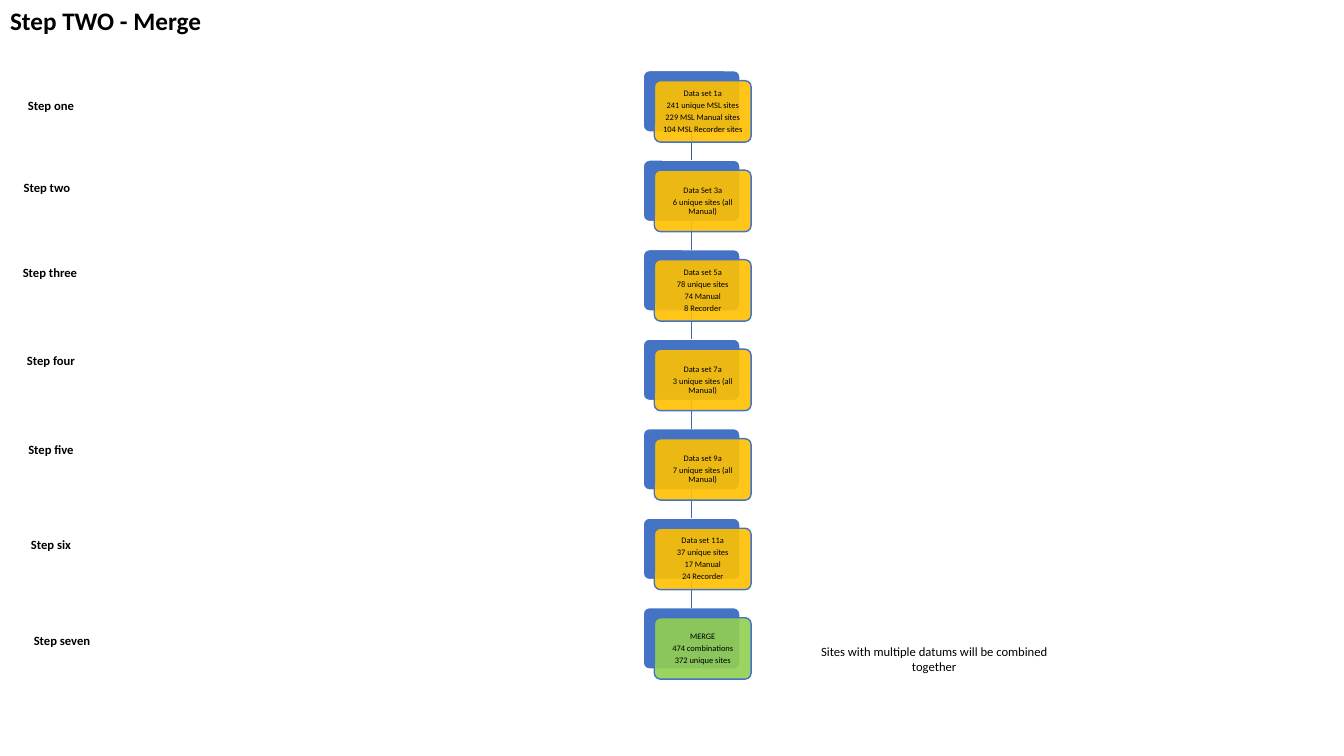
"""Build the slide showing how the data sets are merged in seven steps."""
from lxml import etree
from pptx import Presentation
from pptx import util as u
from pptx.dml.color import RGBColor
from pptx.enum import shapes, text
from pptx.oxml.ns import qn

COLOURS = {
    "black": "000000", "white": "FFFFFF", "blue": "4472C4", "gold": "FFC000",
    "green": "92D050", "first_link": "365B9D", "link": "3E67B2",
}
STAGES = [
    ("gold", ["Data set 1a", "241 unique MSL sites", "229 MSL Manual sites", "104 MSL Recorder sites"]),
    ("gold", ["Data Set 3a", "6 unique sites (all Manual)"]),
    ("gold", ["Data set 5a", "78 unique sites", "74 Manual", "8 Recorder"]),
    ("gold", ["Data set 7a", "3 unique sites (all Manual)"]),
    ("gold", ["Data set 9a", "7 unique sites (all Manual)"]),
    ("gold", ["Data set 11a", "37 unique sites", "17 Manual", "24 Recorder"]),
    ("green", ["MERGE", "474 combinations", "372 unique sites"]),
]
STEPS = [
    ("Step one", 0, 0.92), ("Step two", -0.04, 1.74), ("Step three", -0.01, 2.58),
    ("Step four", 0, 3.45), ("Step five", 0, 4.33), ("Step six", 0, 5.28),
    ("Step seven", 0.11, 6.23),
]
CARD_LEFT, CARD_TOP, CARD_PITCH = 6.38, 0.7, 0.888
CARD_WIDTH, CARD_HEIGHT = 0.96, 0.61
FRONT_DX, FRONT_DY = 0.11, 0.1


def rgb(name):
    """Return the named colour."""
    return RGBColor.from_string(COLOURS[name])


def write(frame, lines, size=9, bold=False, align=text.PP_ALIGN.CENTER,
          anchor=text.MSO_ANCHOR.TOP, insets=(0.1, 0.05), leading=1.0, after=0):
    """Fill a text frame with one paragraph per line."""
    frame.word_wrap = True
    frame.auto_size = text.MSO_AUTO_SIZE.NONE
    frame.vertical_anchor = anchor
    frame.margin_left = frame.margin_right = u.Inches(insets[0])
    frame.margin_top = frame.margin_bottom = u.Inches(insets[1])
    frame.text = "\n".join(lines)
    for paragraph in frame.paragraphs:
        paragraph.alignment = align
        paragraph.line_spacing = leading
        paragraph.space_before = u.Pt(0)
        paragraph.space_after = u.Pt(after)
        font = paragraph.runs[0].font
        font.name, font.size, font.bold = "Calibri", u.Pt(size), bold
        font.color.rgb = rgb("black")


def add_label(slide, wording, left, top, width, height, **style):
    """Add a text box holding one paragraph."""
    label = slide.shapes.add_textbox(*map(u.Inches, (left, top, width, height)))
    write(label.text_frame, [wording], **style)


def add_card(slide, left, top, fill, outline):
    """Add a rounded card."""
    card = slide.shapes.add_shape(
        shapes.MSO_SHAPE.ROUNDED_RECTANGLE,
        *map(u.Inches, (left, top, CARD_WIDTH, CARD_HEIGHT)))
    card.adjustments[0] = 0.1
    card.shadow.inherit = False
    card.fill.solid()
    card.fill.fore_color.rgb = rgb(fill)
    card.line.color.rgb = rgb(outline)
    card.line.width = u.Pt(1)
    return card


def add_front(slide, top, fill, lines):
    """Add a slightly transparent front card with its text."""
    front = add_card(slide, CARD_LEFT + FRONT_DX, top + FRONT_DY, fill, "blue")
    tint = front.fill._xPr.find(qn("a:solidFill"))[0]
    etree.SubElement(tint, qn("a:alpha"), val="90000")
    write(front.text_frame, lines, size=6, anchor=text.MSO_ANCHOR.MIDDLE,
          insets=(0.05, 0.05), leading=0.9, after=2.1)


def add_link(slide, upper, lower, colour):
    """Join the bottom of one card to the top of the next."""
    link = slide.shapes.add_connector(shapes.MSO_CONNECTOR.STRAIGHT, 0, 0, 0, 0)
    link.begin_connect(upper, 2)
    link.end_connect(lower, 0)
    link.line.color.rgb = rgb(colour)
    link.line.width = u.Pt(1)
    etree.SubElement(link._element.spPr, qn("a:effectLst"))


def add_title(slide, wording):
    """Place and format the slide title."""
    title = slide.shapes.title
    title.left, title.top = u.Inches(0), u.Inches(0)
    title.width, title.height = u.Inches(7.45), u.Inches(0.4)
    write(title.text_frame, [wording], size=18, bold=True, align=text.PP_ALIGN.LEFT)


def main():
    """Build and save the slide."""
    deck = Presentation()
    deck.slide_width, deck.slide_height = u.Inches(13.33), u.Inches(7.5)
    slide = deck.slides.add_slide(deck.slide_layouts[5])
    add_title(slide, "Step TWO - Merge")

    tops = [CARD_TOP + CARD_PITCH * row for row in range(len(STAGES))]
    backs = [add_card(slide, CARD_LEFT, top, "blue", "white") for top in tops]
    for row, (upper, lower) in enumerate(zip(backs, backs[1:])):
        add_link(slide, upper, lower, "link" if row else "first_link")
    for top, (fill, lines) in zip(tops, STAGES):
        add_front(slide, top, fill, lines)

    for step, left, top in STEPS:
        add_label(slide, step, left, top, 1.01, 0.25, bold=True)
    add_label(slide, "Sites with multiple datums will be combined together",
              7.96, 6.34, 2.61, 0.4)
    deck.save("out.pptx")


if __name__ == "__main__":
    main()
